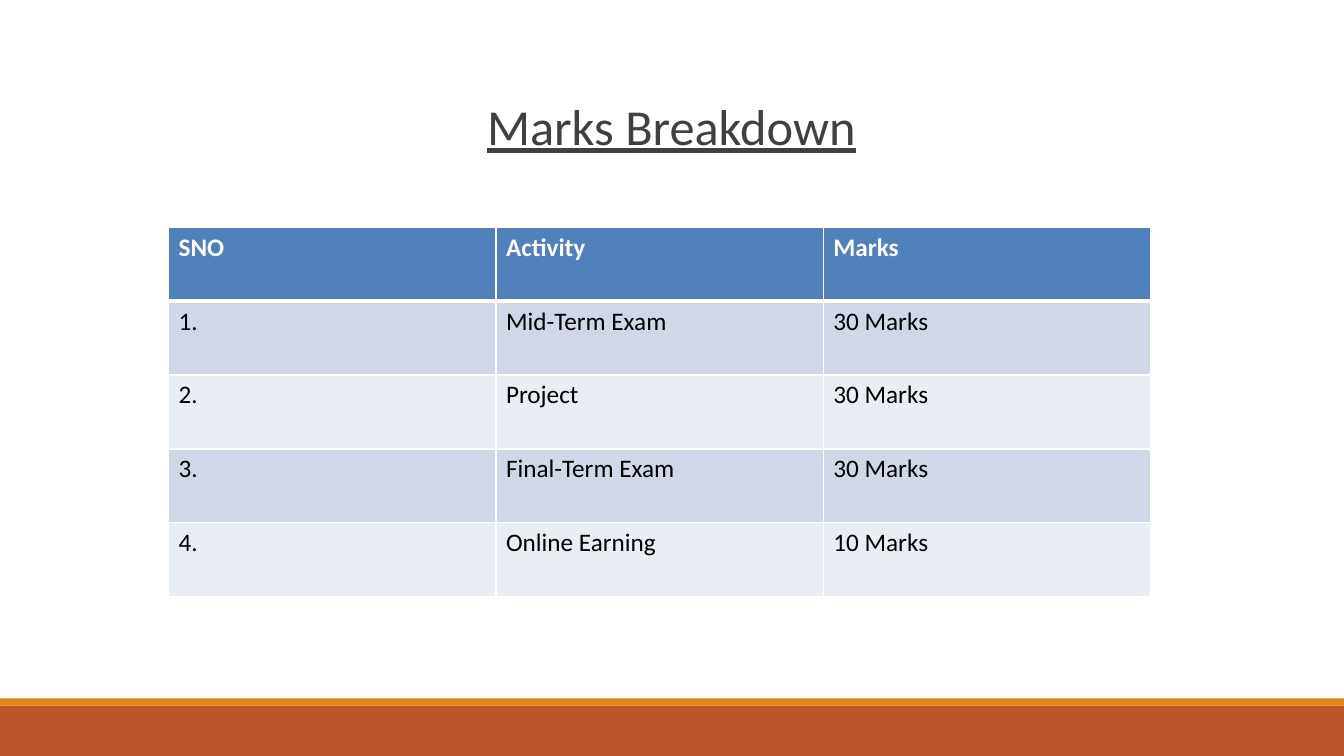
from lxml.etree import SubElement
from pptx import Presentation
from pptx.dml.color import RGBColor
from pptx.enum.shapes import MSO_SHAPE as Shape
from pptx.enum.text import MSO_ANCHOR as Anchor, PP_ALIGN as Align
from pptx.oxml.ns import qn
from pptx.util import Cm, Pt

FONT = "Calibri"
HEADER_FILL = "4F81BD"
BAND_FILLS = ("D0D8E8", "E9EDF4")
MARKS = [
    ("SNO", "Activity", "Marks"),
    ("1.", "Mid-Term Exam", "30 Marks"),
    ("2.", "Project", "30 Marks"),
    ("3.", "Final-Term Exam", "30 Marks"),
    ("4.", "Online Earning", "10 Marks"),
]


def color(value):
    return RGBColor.from_string(value)


def set_font(paragraph, hex_color, **formats):
    font = paragraph.runs[0].font
    font.color.rgb = color(hex_color)
    for name, value in {"name": FONT, **formats}.items():
        setattr(font, name, value)


def add_footer(slide, left, top, width, height):
    """Thin orange stripe above a rust band."""
    stripe = 0.18
    bands = [(top + stripe, height - stripe, "BC572C"), (top, stripe, "E38312")]
    for band_top, band_height, fill in bands:
        shape = slide.shapes.add_shape(
            Shape.RECTANGLE, Cm(left), Cm(band_top), Cm(width), Cm(band_height))
        shape.shadow.inherit = False
        shape.fill.solid()
        shape.fill.fore_color.rgb = color(fill)
        shape.line.fill.background()


def add_title(slide, text, left, top, width, height):
    box = slide.shapes.add_textbox(Cm(left), Cm(top), Cm(width), Cm(height))
    frame = box.text_frame
    formats = {"word_wrap": True, "vertical_anchor": Anchor.TOP, "margin_left": 0,
               "margin_right": 0, "margin_top": 0, "margin_bottom": 0}
    for name, value in formats.items():
        setattr(frame, name, value)
    paragraph = frame.paragraphs[0]
    paragraph.text = text
    paragraph.alignment = Align.CENTER
    set_font(paragraph, "404040", size=Pt(36), underline=True)


def set_borders(cell, **widths):
    properties = cell._tc.get_or_add_tcPr()
    for side in "LRTB":
        line = SubElement(properties, qn(f"a:ln{side}"), w=str(Pt(widths.get(side, 1))))
        fill = SubElement(line, qn("a:solidFill"))
        SubElement(fill, qn("a:srgbClr"), val="FFFFFF")


def add_marks_table(slide, rows, left, top, width, height):
    frame = slide.shapes.add_table(
        len(rows), len(rows[0]), Cm(left), Cm(top), Cm(width), Cm(height))
    for row_index, row in enumerate(rows):
        is_header = row_index == 0
        fill = HEADER_FILL if is_header else BAND_FILLS[(row_index - 1) % 2]
        # A thick rule separates the header from the body
        borders = {0: {"B": 3}, 1: {"T": 3}}.get(row_index, {})
        for column_index, text in enumerate(row):
            cell = frame.table.cell(row_index, column_index)
            set_borders(cell, **borders)
            cell.fill.solid()
            cell.fill.fore_color.rgb = color(fill)
            cell.text = text
            set_font(cell.text_frame.paragraphs[0],
                     "FFFFFF" if is_header else "000000",
                     size=Pt(18), bold=is_header)


def main():
    presentation = Presentation()
    presentation.slide_width = Cm(33.87)
    presentation.slide_height = Cm(19.05)
    slide = presentation.slides.add_slide(presentation.slide_layouts[6])
    add_footer(slide, 0, 17.6, 33.87, 1.45)
    add_title(slide, "Marks Breakdown", 2.82, 2.39, 28.2, 5.28)
    add_marks_table(slide, MARKS, 4.25, 5.72, 24.75, 9.32)
    presentation.save("out.pptx")


if __name__ == "__main__":
    main()
